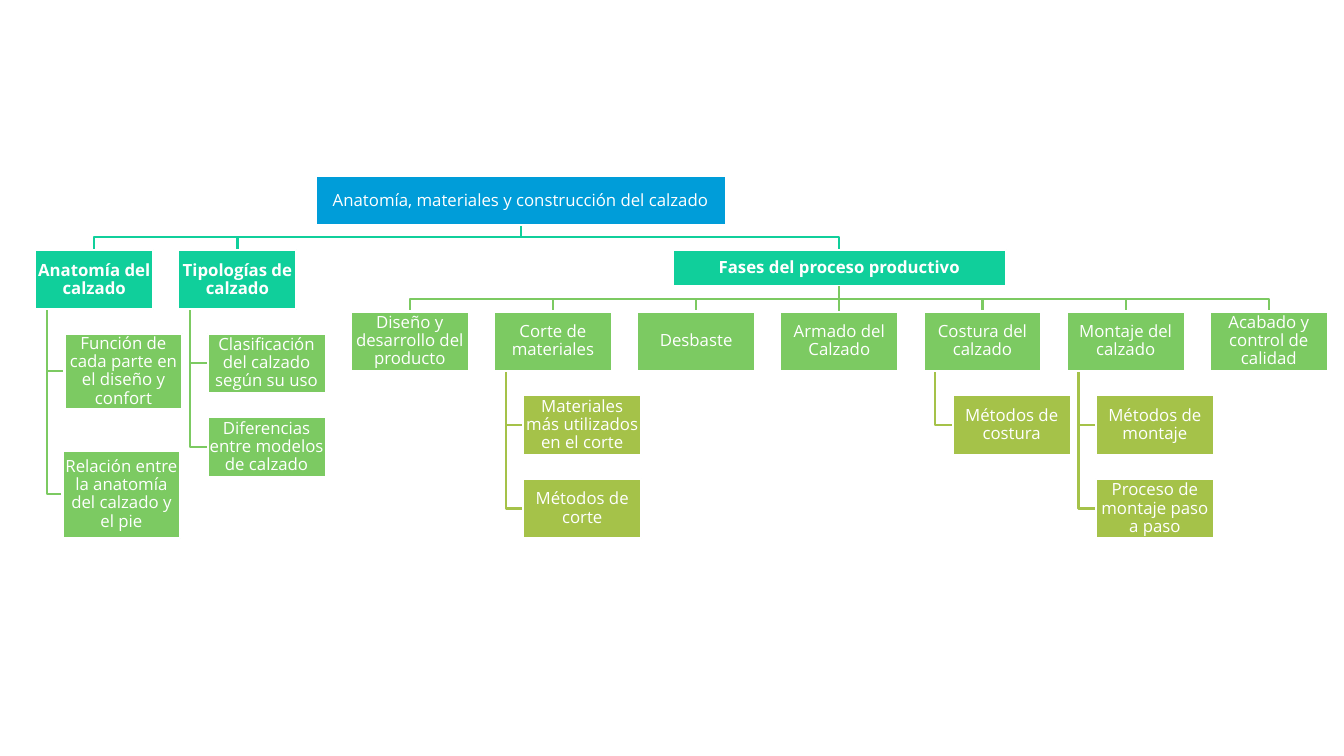
from dataclasses import dataclass, field

import pptx
import pptx.dml.color
import pptx.enum.shapes
import pptx.enum.text
import pptx.oxml.ns
import pptx.util
from lxml import etree
from pptx.util import Inches

RGBColor = pptx.dml.color.RGBColor
WHITE = RGBColor(0xFF, 0xFF, 0xFF)
BLUE = RGBColor(0x00, 0x9D, 0xD9)
TEAL = RGBColor(0x10, 0xCF, 0x9B)
GREEN = RGBColor(0x7C, 0xCA, 0x62)
OLIVE = RGBColor(0xA5, 0xC2, 0x49)

FONT = "Open Sans"
LINE_WIDTH = pptx.util.Pt(1.5)
BOX_W, BOX_H = 1.17, 0.59
COLUMN_STEP = 1.42
ROW_GAP = 0.24
INDENT = 0.29  # shift of a hanging box from its parent's left side


@dataclass
class Node:
    text: str
    x: float
    y: float
    color: RGBColor
    w: float = BOX_W
    h: float = BOX_H
    bold: bool = False
    children: list["Node"] = field(default_factory=list)  # in a row below
    hanging: list["Node"] = field(default_factory=list)  # in an indented column

    @property
    def center(self) -> float:
        return self.x + self.w / 2

    @property
    def bottom(self) -> float:
        return self.y + self.h


def hang(parent: Node, texts: list[str], color: RGBColor) -> None:
    """Stack equal boxes under a parent, indented."""
    for i, text in enumerate(texts):
        y = parent.bottom + ROW_GAP + i * (BOX_H + ROW_GAP)
        parent.hanging.append(Node(text, parent.x + INDENT, y, color))


def build_tree() -> Node:
    anatomy = Node("Anatomía del calzado", 0.35, 2.48, TEAL, bold=True)
    anatomy.hanging = [
        Node("Función de cada parte en el diseño y confort", 0.64, 3.31, GREEN, h=0.75),
        Node("Relación entre la anatomía del calzado y el pie", 0.62, 4.47, GREEN, h=0.87),
    ]
    types = Node("Tipologías de calzado", anatomy.x + COLUMN_STEP, 2.48, TEAL, bold=True)
    hang(types, ["Clasificación del calzado según su uso",
                 "Diferencias entre modelos de calzado"], GREEN)

    phases = Node("Fases del proceso productivo", 6.67, 2.48, TEAL, w=3.31, h=0.36, bold=True)
    steps: dict[str, list[str]] = {
        "Diseño y desarrollo del producto": [],
        "Corte de materiales": ["Materiales más utilizados en el corte", "Métodos de corte"],
        "Desbaste": [],
        "Armado del Calzado": [],
        "Costura del calzado": ["Métodos de costura"],
        "Montaje del calzado": ["Métodos de montaje", "Proceso de montaje paso a paso"],
        "Acabado y control de calidad": [],
    }
    for i, (step, details) in enumerate(steps.items()):
        node = Node(step, 3.48 + i * COLUMN_STEP, 3.09, GREEN)
        hang(node, details, OLIVE)
        phases.children.append(node)

    return Node("Anatomía, materiales y construcción del calzado", 3.13, 1.75, BLUE,
                w=4.07, h=0.48, children=[anatomy, types, phases])


def draw_elbow(s, points: list[tuple[float, float]], color: RGBColor) -> None:
    corners = [(Inches(x), Inches(y)) for x, y in points]
    builder = s.shapes.build_freeform(*corners[0])
    builder.add_line_segments(corners[1:], close=False)
    sp = builder.convert_to_shape()
    sp.shadow.inherit = False
    sp.fill.background()
    sp.line.color.rgb = color
    sp.line.width = LINE_WIDTH


def draw_straight(s, parent_box, child_box, color: RGBColor) -> None:
    line = s.shapes.add_connector(pptx.enum.shapes.MSO_CONNECTOR.STRAIGHT, 0, 0, 0, 0)
    line.begin_connect(parent_box, 2)
    line.end_connect(child_box, 0)
    line.line.color.rgb = color
    line.line.width = LINE_WIDTH
    etree.SubElement(line._element.spPr, pptx.oxml.ns.qn("a:effectLst"))


def draw_box(s, node: Node):
    sp = s.shapes.add_shape(pptx.enum.shapes.MSO_SHAPE.RECTANGLE, Inches(node.x),
                            Inches(node.y), Inches(node.w), Inches(node.h))
    sp.shadow.inherit = False
    sp.fill.solid()
    sp.fill.fore_color.rgb = node.color
    sp.line.color.rgb = WHITE
    sp.line.width = LINE_WIDTH
    tf = sp.text_frame
    tf.word_wrap = True
    tf.vertical_anchor = pptx.enum.text.MSO_ANCHOR.MIDDLE
    tf.margin_left = tf.margin_right = tf.margin_top = tf.margin_bottom = Inches(0.01)
    p = tf.paragraphs[0]
    p.text = node.text
    p.alignment = pptx.enum.text.PP_ALIGN.CENTER
    p.line_spacing = 0.9
    p.font.name = FONT
    p.font.size = pptx.util.Pt(12)
    p.font.bold = node.bold
    p.font.color.rgb = WHITE
    return sp


def draw_links(s, node: Node) -> None:
    """Draw the bent lines of a node and of everything below it."""
    for child in node.children:
        if abs(child.center - node.center) > 0.01:
            middle = (node.bottom + child.y) / 2
            draw_elbow(s, [(node.center, node.bottom), (node.center, middle),
                           (child.center, middle), (child.center, child.y)], child.color)
    for child in node.hanging:
        stem, level = node.x + node.w / 10, child.y + child.h / 2
        draw_elbow(s, [(stem, node.bottom), (stem, level), (child.x, level)], child.color)
    for child in node.children + node.hanging:
        draw_links(s, child)


def draw_boxes(s, node: Node):
    """Draw a node and everything below it, joining boxes set straight below."""
    box = draw_box(s, node)
    for child in node.children + node.hanging:
        child_box = draw_boxes(s, child)
        if abs(child.center - node.center) <= 0.01:
            draw_straight(s, box, child_box, child.color)
    return box


def main() -> None:
    prs = pptx.Presentation()
    prs.slide_width, prs.slide_height = Inches(13.33), Inches(7.5)
    s = prs.slides.add_slide(prs.slide_layouts[6])

    # Lines lie behind the boxes
    root = build_tree()
    draw_links(s, root)
    draw_boxes(s, root)

    prs.save("out.pptx")


if __name__ == "__main__":
    main()
